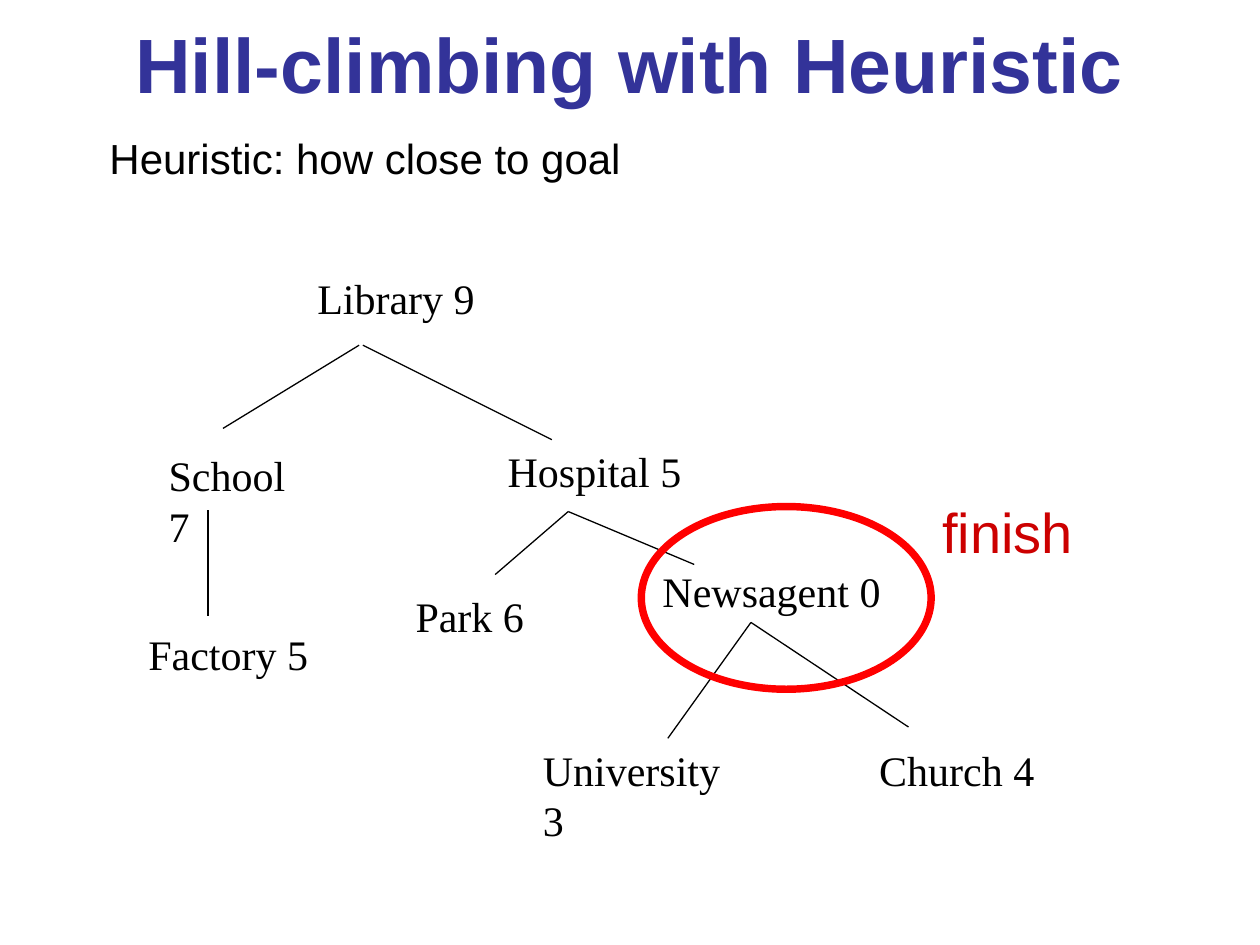
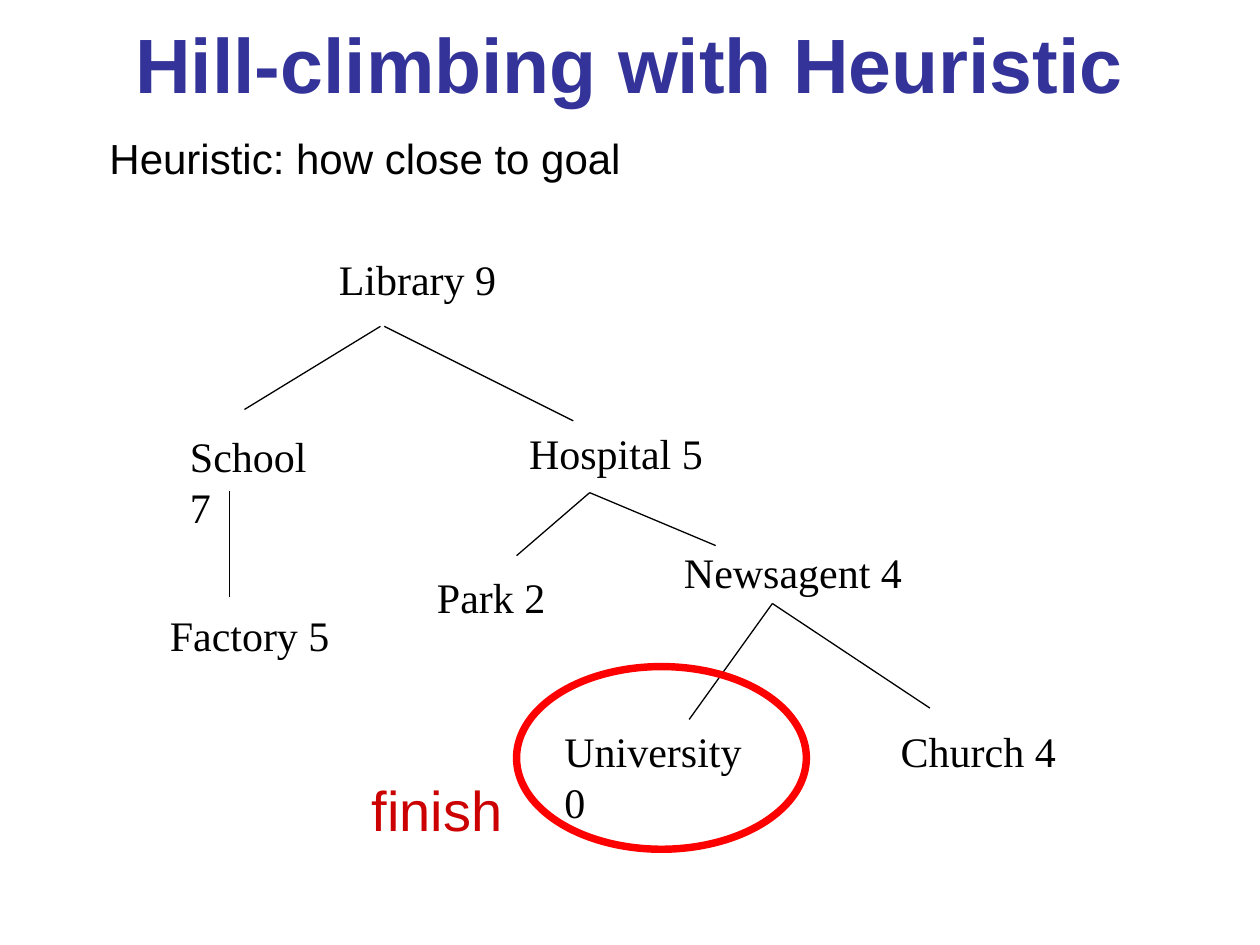
"""Build two slides showing hill-climbing search trees with heuristic values."""
from dataclasses import dataclass

from lxml.etree import SubElement
from pptx import Presentation
from pptx.dml.color import RGBColor
from pptx.enum.shapes import MSO_CONNECTOR as Connector, MSO_SHAPE as Shape
from pptx.enum.text import MSO_ANCHOR as Anchor, PP_ALIGN as Align
from pptx.oxml.ns import qn
from pptx.util import Inches, Pt


@dataclass(frozen=True)
class TextStyle:
    size: float
    font: str
    color: RGBColor
    bold: bool = False
    align: Align = Align.LEFT
    anchor: Anchor = Anchor.TOP


@dataclass(frozen=True)
class Theme:
    black = RGBColor(0, 0, 0)
    ring = RGBColor(0xFF, 0, 0)
    edge_width = 0.75
    ring_width = 4.25
    title = TextStyle(44, "Arial", RGBColor(0x33, 0x33, 0x99), True,
                      Align.CENTER, Anchor.MIDDLE)
    subtitle = TextStyle(24, "Arial", black)
    node = TextStyle(24, "Times New Roman", black)
    finish = TextStyle(32, "Arial", RGBColor(0xCC, 0, 0))


@dataclass(frozen=True)
class Node:
    name: str
    left: float
    top: float
    width: float
    wrap: bool = False


@dataclass(frozen=True)
class Edge:
    start: tuple[float, float]
    end: tuple[float, float]


@dataclass(frozen=True)
class TreeSlide:
    values: tuple[int, ...]
    shift: tuple[float, float]
    ring: tuple[float, float]
    finish: tuple[float, float]


THEME = Theme()
NODES = (
    Node("Library", 2.42, 2.11, 1.79, True),
    Node("School", 1.24, 3.52, 1.37),
    Node("Hospital", 3.93, 3.49, 1.58, True),
    Node("Factory", 1.08, 4.94, 1.47),
    Node("Park", 3.2, 4.64, 1.06),
    Node("Newsagent", 5.16, 4.44, 1.93),
    Node("University", 4.21, 5.86, 1.85),
    Node("Church", 6.88, 5.86, 1.43),
)
EDGES = (
    Edge((2.85, 2.74), (1.77, 3.4)),
    Edge((2.88, 2.74), (4.38, 3.49)),
    Edge((1.65, 4.05), (1.65, 4.89)),
    Edge((4.51, 4.06), (3.93, 4.56)),
    Edge((4.51, 4.06), (5.51, 4.48)),
    Edge((5.96, 4.94), (5.3, 5.86)),
    Edge((5.96, 4.94), (7.21, 5.77)),
)
TREE_SLIDES = (
    TreeSlide((9, 7, 5, 5, 6, 0, 3, 4), (0, 0), (5.09, 4.02), (7.38, 3.9)),
    TreeSlide((9, 7, 5, 5, 2, 4, 0, 4), (0.17, -0.15), (4.1, 5.29), (2.85, 6.11)),
)


def add_text(slide, text: str, left: float, top: float, width: float,
             height: float, style: TextStyle, wrap: bool = True) -> None:
    """Add a one-paragraph text box in the given style."""
    box = slide.shapes.add_textbox(Inches(left), Inches(top), Inches(width), Inches(height))
    frame = box.text_frame
    frame.word_wrap = wrap
    frame.vertical_anchor = style.anchor
    frame.text = text
    paragraph = frame.paragraphs[0]
    paragraph.alignment = style.align
    font = paragraph.runs[0].font
    font.size = Pt(style.size)
    font.name = style.font
    font.bold = style.bold
    font.color.rgb = style.color


def add_edge(slide, edge: Edge, shift: tuple[float, float]) -> None:
    """Draw a shifted tree edge as a thin line."""
    points = [Inches(value + offset) for point in (edge.start, edge.end)
              for value, offset in zip(point, shift)]
    line = slide.shapes.add_connector(Connector.STRAIGHT, *points)
    line.line.color.rgb = THEME.black
    line.line.width = Pt(THEME.edge_width)
    SubElement(line.element.spPr, qn("a:effectLst"))


def add_ring(slide, left: float, top: float) -> None:
    """Draw the ellipse around the goal node."""
    ring = slide.shapes.add_shape(Shape.OVAL, Inches(left), Inches(top),
                                  Inches(2.3), Inches(1.45))
    ring.shadow.inherit = False
    ring.fill.background()
    ring.line.color.rgb = THEME.ring
    ring.line.width = Pt(THEME.ring_width)


def add_tree_slide(presentation, tree: TreeSlide) -> None:
    """Add one slide with its tree, goal ring and labels."""
    slide = presentation.slides.add_slide(presentation.slide_layouts[6])
    add_text(slide, "Hill-climbing with Heuristic", 0.5, 0, 9, 1, THEME.title)
    dx, dy = tree.shift
    for node, value in zip(NODES, tree.values):
        add_text(slide, f"{node.name} {value}", node.left + dx, node.top + dy,
                 node.width, 0.5, THEME.node, node.wrap)
    for edge in EDGES:
        add_edge(slide, edge, tree.shift)
    add_ring(slide, *tree.ring)
    add_text(slide, "finish", *tree.finish, 1.69, 0.64, THEME.finish)
    add_text(slide, "Heuristic: how close to goal", 0.77, 1, 7.38, 0.5, THEME.subtitle)


def main() -> None:
    """Build and save the presentation."""
    presentation = Presentation()
    presentation.slide_width = Inches(10)
    presentation.slide_height = Inches(7.5)
    for tree in TREE_SLIDES:
        add_tree_slide(presentation, tree)
    presentation.save("out.pptx")


if __name__ == "__main__":
    main()
